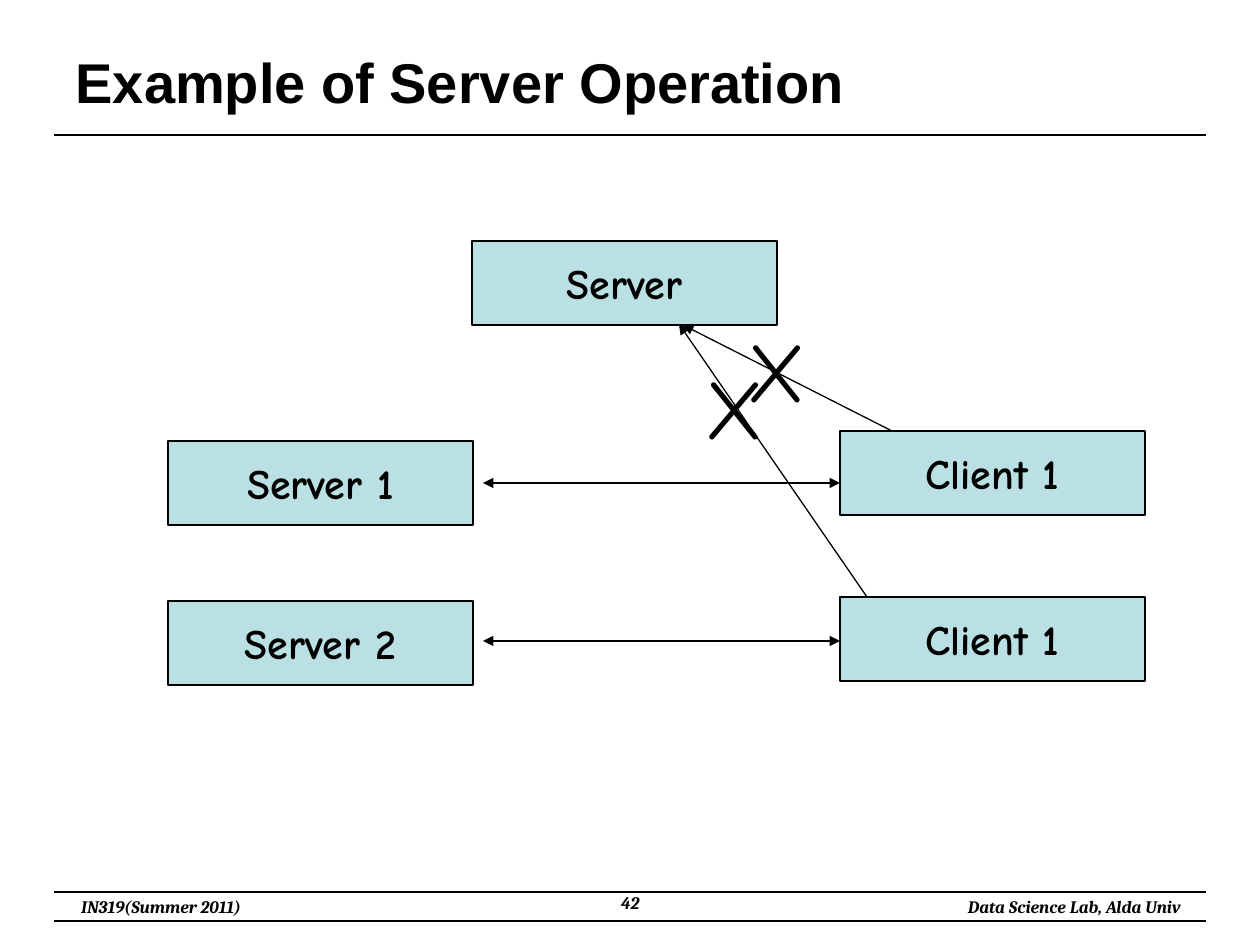
"""Build the slide that shows an example of server operation."""
from lxml.etree import SubElement
from pptx import Presentation
from pptx.dml.color import RGBColor
from pptx.enum.shapes import MSO_CONNECTOR, MSO_SHAPE
from pptx.enum.text import MSO_ANCHOR, PP_ALIGN
from pptx.oxml.ns import qn
from pptx.util import Emu, Pt

HEX = {"ink": "000000", "box": "BBE0E3"}
INK, FILL = (RGBColor.from_string(HEX[key]) for key in ("ink", "box"))
LEFT, MID, RIGHT = PP_ALIGN.LEFT, PP_ALIGN.CENTER, PP_ALIGN.RIGHT


def px(*nums):
    return [Emu(round(num * 914400 / 126)) for num in nums]


def write(shape, text, size, font, align=LEFT, bold=True, slant=False,
          wrap=True, anchor=MSO_ANCHOR.TOP):
    frame = shape.text_frame
    frame.word_wrap = wrap
    frame.vertical_anchor = anchor
    para = frame.paragraphs[0]
    para.alignment = align
    run = para.add_run()
    run.text = text
    run.font.size = Pt(size)
    run.font.name = font
    run.font.bold = bold
    run.font.italic = slant
    run.font.color.rgb = INK


deck = Presentation()
deck.slide_width, deck.slide_height = px(1260, 945)
slide = deck.slides.add_slide(deck.slide_layouts[5])
shapes = slide.shapes

title = shapes.title
title.left, title.top, title.width, title.height = px(63, 38, 1134, 87)
write(title, "Example of Server Operation", 32, "Arial",
      anchor=MSO_ANCHOR.MIDDLE)

footer = [
    ("IN319(Summer 2011)", 52, 890, 218, 34, MID, False),
    ("Data Science Lab, Alda Univ", 902, 890, 291, 34, RIGHT, False),
    ("42", 483, 886, 294, 39, MID, True),
]
for text, x, y, w, h, align, wrap in footer:
    write(shapes.add_textbox(*px(x, y, w, h)), text, 10, "Cambria",
          align=align, slant=True, wrap=wrap)

boxes = [
    ("Server", 472, 241),
    ("Client 1", 840, 431),
    ("Server 1", 168, 441),
    ("Client 1", 840, 597),
    ("Server 2", 168, 601),
]
for text, x, y in boxes:
    box = shapes.add_shape(MSO_SHAPE.RECTANGLE, *px(x, y, 305, 84))
    box.shadow.inherit = False
    box.fill.solid()
    box.fill.fore_color.rgb = FILL
    box.line.color.rgb = INK
    box.line.width = Pt(0.75)
    write(box, text, 24, "Comic Neue", align=MID, wrap=False,
          anchor=MSO_ANCHOR.MIDDLE)

rules = [(54, y, 1206, y, ()) for y in (135, 892, 921)]
links = [
    (892, 431, 683, 325, ("tailEnd",)),
    (867, 597, 679, 324, ("tailEnd",)),
    (840, 483, 483, 483, ("headEnd", "tailEnd")),
    (840, 641, 483, 641, ("headEnd", "tailEnd")),
]
for *ends, tips in rules + links:
    line = shapes.add_connector(MSO_CONNECTOR.STRAIGHT, *px(*ends))
    line.line.color.rgb = INK
    line.line.width = Pt(0.75)
    for tip in tips:
        SubElement(line.line._get_or_add_ln(), qn("a:" + tip), type="triangle")
    SubElement(line._element.spPr, qn("a:effectLst"))

for x, y in ((735, 312), (693, 349)):
    write(shapes.add_textbox(*px(x, y, 86, 113)), "X", 48, "Comic Neue",
          bold=False)

deck.save("out.pptx")
